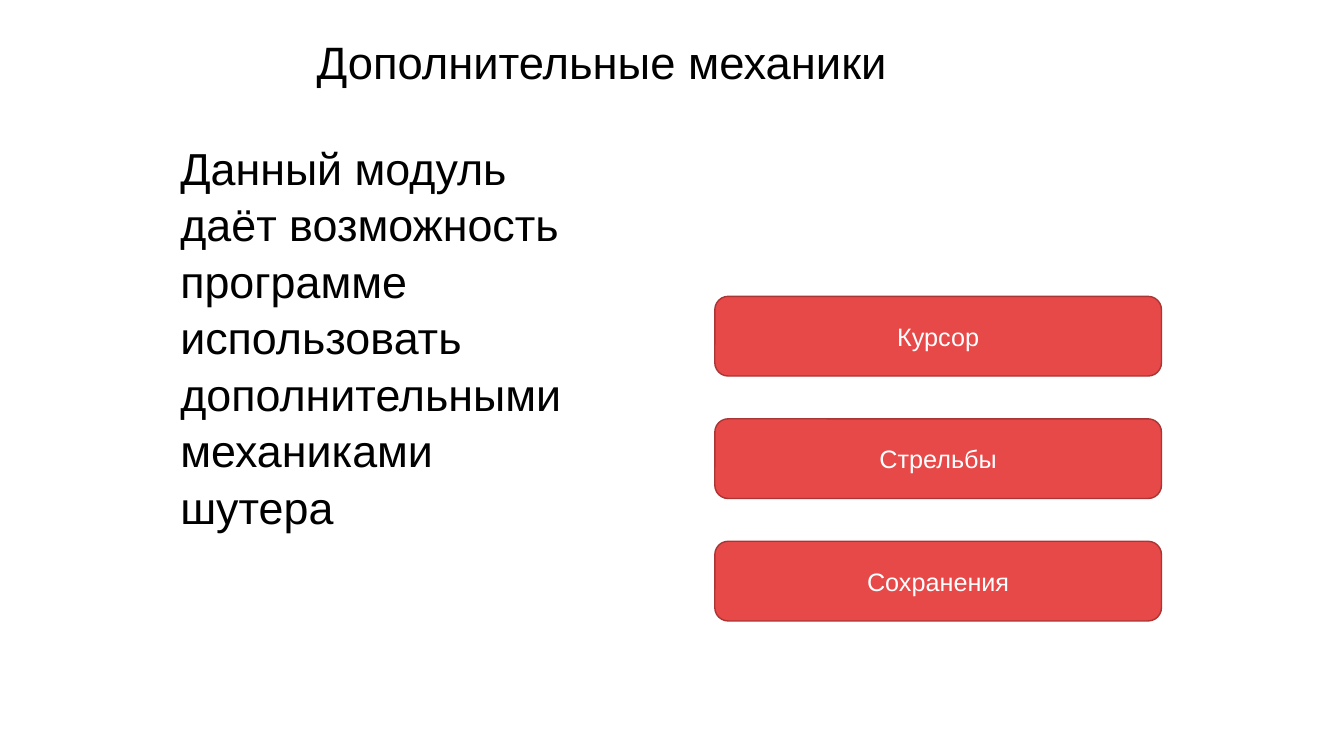
"""Build the slide on the additional mechanics module."""
from pptx import Presentation
from pptx.dml.color import RGBColor
from pptx.enum.shapes import MSO_SHAPE
from pptx.enum.text import MSO_ANCHOR, MSO_AUTO_SIZE, PP_ALIGN
from pptx.util import Inches, Pt

TITLE = "Дополнительные механики"
DESCRIPTION = (
    "Данный модуль даёт возможность программе использовать "
    "дополнительными механиками шутера"
)
MECHANICS = ["Курсор", "Стрельбы", "Сохранения"]

COLORS = {"text": "000000", "button": "E74848", "border": "AB3535", "label": "FFFFFF"}
FONT = "Arial"
BUTTON_LEFT, BUTTON_TOP = 7.09, 2.94
BUTTON_WIDTH, BUTTON_HEIGHT = 4.43, 0.79
BUTTON_STEP = 1.215


def color(name):
    """Return a named colour."""
    return RGBColor.from_string(COLORS[name])


def write(shape, text, size, color_name, alignment, anchor):
    """Put one formatted paragraph into a shape and return it."""
    frame = shape.text_frame
    frame.text = text
    frame.word_wrap = True
    frame.auto_size = MSO_AUTO_SIZE.NONE
    frame.vertical_anchor = anchor
    paragraph = frame.paragraphs[0]
    paragraph.alignment = alignment
    paragraph.font.name = FONT
    paragraph.font.size = Pt(size)
    paragraph.font.color.rgb = color(color_name)
    return paragraph


def add_button(slide, label, top):
    """Add one rounded button with its label."""
    button = slide.shapes.add_shape(
        MSO_SHAPE.ROUNDED_RECTANGLE,
        Inches(BUTTON_LEFT), Inches(top), Inches(BUTTON_WIDTH), Inches(BUTTON_HEIGHT),
    )
    button.shadow.inherit = False
    button.fill.solid()
    button.fill.fore_color.rgb = color("button")
    button.line.color.rgb = color("border")
    button.line.width = Pt(1)
    write(button, label, 18, "label", PP_ALIGN.CENTER, MSO_ANCHOR.MIDDLE)


def main():
    """Create and save the presentation."""
    presentation = Presentation()
    presentation.slide_width = Inches(13.33)
    presentation.slide_height = Inches(7.5)
    slide = presentation.slides.add_slide(presentation.slide_layouts[5])

    title = slide.shapes.title
    title.left, title.top = Inches(3.04), Inches(0.29)
    title.width, title.height = Inches(12), Inches(0.64)
    write(title, TITLE, 32.4, "text", PP_ALIGN.LEFT, MSO_ANCHOR.MIDDLE)

    description = slide.shapes.add_textbox(
        Inches(1.69), Inches(1.32), Inches(4.1), Inches(3.63)
    )
    paragraph = write(
        description, DESCRIPTION, 32, "text", PP_ALIGN.LEFT, MSO_ANCHOR.TOP
    )
    paragraph.line_spacing = 1.05

    for index, label in enumerate(MECHANICS):
        add_button(slide, label, BUTTON_TOP + index * BUTTON_STEP)

    presentation.save("out.pptx")


if __name__ == "__main__":
    main()
